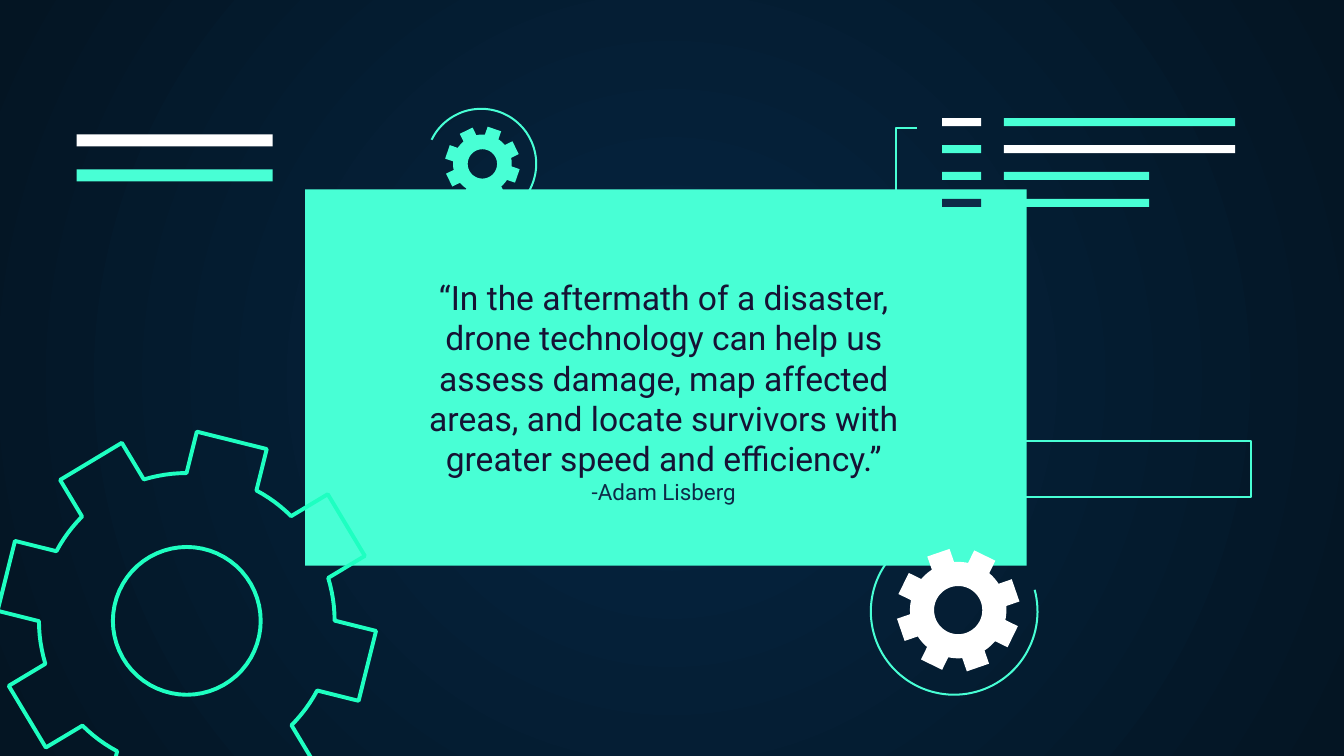
from math import asin, cos, degrees, radians, sin

from lxml import etree
from pptx import Presentation
from pptx.dml.color import RGBColor
from pptx.enum.shapes import MSO_SHAPE
from pptx.enum.text import MSO_ANCHOR, MSO_AUTO_SIZE, PP_ALIGN
from pptx.oxml.ns import qn
from pptx.util import Inches, Pt

RECTANGLE = MSO_SHAPE.RECTANGLE
CENTER = PP_ALIGN.CENTER
TOP, BOTTOM = MSO_ANCHOR.TOP, MSO_ANCHOR.BOTTOM
NO_AUTOFIT = MSO_AUTO_SIZE.NONE

AQUA = RGBColor(0x48, 0xFF, 0xD5)
BRIGHT_AQUA = RGBColor(0x1E, 0xFF, 0xC1)
WHITE = RGBColor(0xFF, 0xFF, 0xFF)
NAVY = RGBColor(0x0E, 0x2A, 0x47)
INK = RGBColor(0x16, 0x12, 0x34)
GLOW = RGBColor(0x05, 0x26, 0x43)
NIGHT = RGBColor(0x04, 0x15, 0x23)

THIN, THICK = 1.09, 2.1

# Gear proportions, relative to the outer radius
TEETH = 8
ROOT, HOLE, HALF_TOOTH = 0.78, 0.39, 0.19


def arc_points(cx, cy, radius, start, end, steps=24):
    """Points on an arc; angles in degrees, clockwise from the right."""
    angles = [radians(start + (end - start) * i / steps) for i in range(steps + 1)]
    return [(cx + radius * cos(a), cy + radius * sin(a)) for a in angles]


class QuoteSlide:
    font = "Roboto"

    def __init__(self, prs):
        self.slide = prs.slides.add_slide(prs.slide_layouts[0])
        self.shapes = self.slide.shapes

    def background(self, inner, outer):
        fill = self.slide.background.fill
        fill.gradient()
        for stop, color in zip(fill.gradient_stops, (inner, outer)):
            stop.color.rgb = color
        gradient = self.slide.element.find(".//" + qn("a:gradFill"))
        linear = gradient.find(qn("a:lin"))
        radial = etree.Element(qn("a:path"), path="circle")
        etree.SubElement(radial, qn("a:fillToRect"),
                         l="50000", t="50000", r="50000", b="50000")
        gradient.replace(linear, radial)

    def paint(self, shape, fill=None, line=None, weight=THIN):
        shape.shadow.inherit = False
        if fill is None:
            shape.fill.background()
        else:
            shape.fill.solid()
            shape.fill.fore_color.rgb = fill
        if line is None:
            shape.line.fill.background()
        else:
            shape.line.color.rgb = line
            shape.line.width = Pt(weight)

    def rectangle(self, left, top, width, height, **paint):
        shape = self.shapes.add_shape(
            RECTANGLE, Inches(left), Inches(top), Inches(width), Inches(height))
        self.paint(shape, **paint)

    def outline(self, contours, close=True, **paint):
        contours = [[(Inches(x), Inches(y)) for x, y in c] for c in contours]
        builder = self.shapes.build_freeform(*contours[0][0])
        for number, contour in enumerate(contours):
            if number:
                builder.move_to(*contour[0])
            builder.add_line_segments(contour[1:], close=close)
        self.paint(builder.convert_to_shape(), **paint)

    def gear(self, cx, cy, radius, first_tooth, **paint):
        tip = degrees(asin(HALF_TOOTH))
        root = degrees(asin(HALF_TOOTH / ROOT))
        pitch = 360 / TEETH
        rim = []
        for tooth in range(TEETH):
            middle = first_tooth + tooth * pitch
            rim += arc_points(cx, cy, radius, middle - tip, middle + tip, 1)
            rim += arc_points(cx, cy, radius * ROOT,
                              middle + root, middle + pitch - root, 6)
        hole = arc_points(cx, cy, radius * HOLE, 360, 0, 60)
        self.outline([rim, hole], **paint)

    def arc(self, cx, cy, radius, start, end):
        self.outline([arc_points(cx, cy, radius, start, end, 80)],
                     close=False, line=AQUA)

    def text(self, placeholder, box, words, size, color, anchor):
        left, top, width, height = map(Inches, box)
        inset = Inches(0.1)
        frame = placeholder.text_frame
        frame.text = words
        paragraph = frame.paragraphs[0]
        formats = (
            (placeholder, {"left": left, "top": top, "width": width, "height": height}),
            (frame, {
                "word_wrap": True, "auto_size": NO_AUTOFIT, "vertical_anchor": anchor,
                "margin_left": inset, "margin_right": inset,
                "margin_top": inset, "margin_bottom": inset}),
            (paragraph, {"alignment": CENTER, "space_before": Pt(0)}),
            (paragraph.font, {"name": self.font, "size": Pt(size), "bold": False}),
        )
        for target, values in formats:
            for name, value in values.items():
                setattr(target, name, value)
        paragraph.font.color.rgb = color
        # Bring the text in front of the card
        self.shapes.element.append(placeholder.element)


def main():
    prs = Presentation()
    # Widescreen, 16:9
    prs.slide_width = Inches(10)
    prs.slide_height = prs.slide_width * 9 // 16
    page = QuoteSlide(prs)
    page.background(GLOW, NIGHT)

    # Quote card
    page.rectangle(2.27, 1.41, 5.37, 2.8, fill=AQUA)

    # Gears and the arcs around them
    page.arc(3.58, 1.22, 0.41, 206, 456)
    page.arc(7.1, 4.55, 0.62, -15, 233)
    page.gear(1.39, 4.62, 1.41, 14, line=BRIGHT_AQUA, weight=THICK)
    page.gear(7.13, 4.54, 0.46, 26, fill=WHITE)
    page.gear(3.59, 1.22, 0.28, 19, fill=AQUA)

    # Code lines: a short label and a longer line in each row
    code_rows = ((WHITE, AQUA, 1.72), (AQUA, WHITE, 1.72),
                 (AQUA, AQUA, 1.08), (NAVY, AQUA, 1.08))
    for row, (label_color, line_color, line_width) in enumerate(code_rows):
        top = 0.88 + row * 0.2
        page.rectangle(7.01, top, 0.29, 0.06, fill=label_color)
        page.rectangle(7.47, top, line_width, 0.06, fill=line_color)
    page.outline([[(6.83, 1.56), (6.67, 1.56), (6.67, 0.95), (6.82, 0.95)]],
                 close=False, line=AQUA)

    # Double bar and empty frame
    for top, color in ((1, WHITE), (1.26, AQUA)):
        page.rectangle(0.57, top, 1.46, 0.09, fill=color)
    page.rectangle(7.2, 3.28, 2.11, 0.42, line=AQUA)

    # Speaker and quote
    speaker, quote = page.slide.placeholders
    page.text(speaker, (3.01, 1.74, 3.86, 2.12), "-Adam Lisberg", 12, NAVY, BOTTOM)
    page.text(quote, (3.05, 1.96, 3.78, 1.55),
              "“In the aftermath of a disaster, drone technology can help us "
              "assess damage, map affected areas, and locate survivors with "
              "greater speed and efficiency.”", 18, INK, TOP)

    prs.save("out.pptx")


if __name__ == "__main__":
    main()
